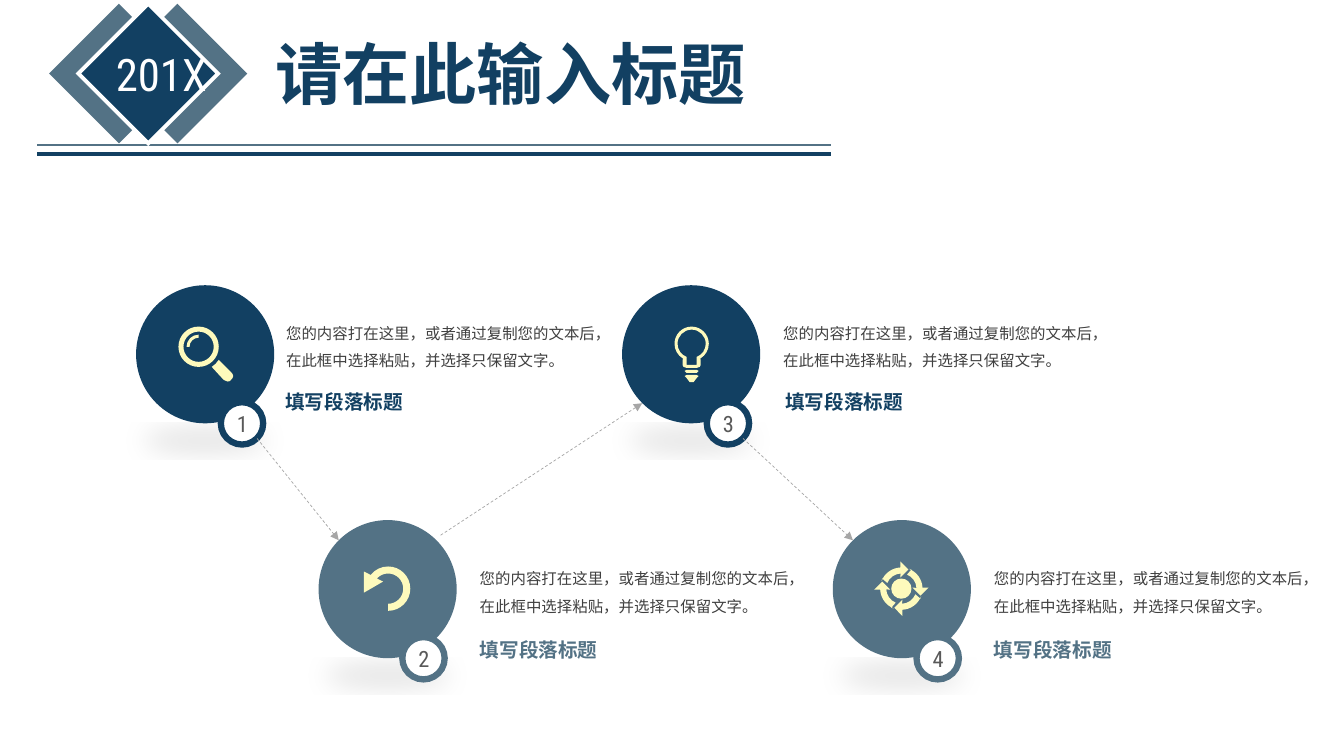
import math

import lxml.etree
import pptx
import pptx.dml.color
import pptx.enum.dml
import pptx.enum.shapes
import pptx.enum.text
import pptx.oxml
import pptx.oxml.ns
import pptx.util

Inches = pptx.util.Inches
Pt = pptx.util.Pt
SHAPE = pptx.enum.shapes.MSO_SHAPE
FIT = pptx.enum.text.MSO_AUTO_SIZE
qn = pptx.oxml.ns.qn

NAVY, SLATE, CREAM, WHITE = "124062", "537285", "FEFABC", "FFFFFF"
CONDENSED = "Roboto Condensed"
HEADING = "填写段落标题"
BODY = "您的内容打在这里，或者通过复制您的文本后，在此框中选择粘贴，并选择只保留文字。"


def color(hex_string):
    return pptx.dml.color.RGBColor.from_string(hex_string)


def add_run(paragraph, text, size, hex_color, font=CONDENSED, bold=False):
    run = paragraph.add_run()
    run.text = text
    run.font.name = font
    run.font.size = Pt(size)
    run.font.bold = bold
    run.font.color.rgb = color(hex_color)


def paint(shape, fill, line=None, width=0):
    shape.shadow.inherit = False
    shape.fill.solid()
    shape.fill.fore_color.rgb = color(fill)
    if line:
        shape.line.color.rgb = color(line)
        shape.line.width = Pt(width)
        lxml.etree.SubElement(shape.line._get_or_add_ln(), qn("a:miter"), lim="800000")
    else:
        shape.line.fill.background()


def add_preset(slide, kind, left, top, width, height, fill, line=None, line_width=0):
    shape = slide.shapes.add_shape(
        kind, Inches(left), Inches(top), Inches(width), Inches(height))
    paint(shape, fill, line, line_width)
    return shape


def add_text(slide, left, top, width, height, text, size, hex_color,
             bold=False, wrap=False, spacing=None):
    box = slide.shapes.add_textbox(
        Inches(left), Inches(top), Inches(width), Inches(height))
    box.text_frame.word_wrap = wrap
    box.text_frame.auto_size = FIT.SHAPE_TO_FIT_TEXT
    paragraph = box.text_frame.paragraphs[0]
    paragraph.line_spacing = spacing
    add_run(paragraph, text, size, hex_color, bold=bold)


def add_line(slide, start, end, hex_color, width, arrow=False):
    line = slide.shapes.add_connector(
        pptx.enum.shapes.MSO_CONNECTOR.STRAIGHT,
        Inches(start[0]), Inches(start[1]), Inches(end[0]), Inches(end[1]))
    line.line.color.rgb = color(hex_color)
    line.line.width = Pt(width)
    if arrow:
        line.line.dash_style = pptx.enum.dml.MSO_LINE.DASH
        lxml.etree.SubElement(line.line._get_or_add_ln(), qn("a:tailEnd"), type="triangle")
    lxml.etree.SubElement(line._element.spPr, qn("a:effectLst"))


def add_floor_shadow(shape):
    effects = shape._element.spPr.find(qn("a:effectLst"))
    shadow = lxml.etree.SubElement(
        effects, qn("a:outerShdw"), blurRad=str(Pt(19)), dist=str(Pt(3)),
        dir="5400000", sx="90000", sy="-19000", algn="b", rotWithShape="0")
    black = lxml.etree.SubElement(shadow, qn("a:srgbClr"), val="000000")
    lxml.etree.SubElement(black, qn("a:alpha"), val="10000")


# Outlines: a contour is a list of segments, each of one point (line) or three (curve)
def arc(center, radius, start, end):
    """A line to the arc's start, then a curve per quadrant; degrees run clockwise."""
    low, high = sorted((start, end))
    inner = [a for a in range(-360, 721, 90) if low < a < high]
    stops = [low, *inner, high] if start < end else [high, *inner[::-1], low]

    def point(angle, tangent=0):
        a = math.radians(angle)
        return (center[0] + radius * (math.cos(a) - tangent * math.sin(a)),
                center[1] + radius * (math.sin(a) + tangent * math.cos(a)))

    segments = [[point(start)]]
    for a, b in zip(stops, stops[1:]):
        pull = 4 / 3 * math.tan(math.radians(b - a) / 4)
        segments.append([point(a, pull), point(b, -pull), point(b)])
    return segments


def lines(*points):
    return [[point] for point in points]


def add_outline(slide, *contours):
    builder = None
    for contour in contours:
        points = [(Inches(x), Inches(y)) for segment in contour for x, y in segment]
        if builder is None:
            builder = slide.shapes.build_freeform(*points[0], scale=1.0)
        else:
            builder.move_to(*points[0])
        builder.add_line_segments(points[1:], close=True)
    shape = builder.convert_to_shape()
    paint(shape, CREAM)
    # Join the three points of each curve into one Bezier segment
    steps = iter(list(shape._element.iter(qn("a:lnTo"))))
    for contour in contours:
        for segment in contour[1:]:
            parts = [next(steps) for _ in segment]
            if len(parts) == 3:
                parts[0].tag = qn("a:cubicBezTo")
                for part in parts[1:]:
                    parts[0].append(part[0])
                    part.getparent().remove(part)


# Icons
def add_bulb(slide):
    center = (6.86, 3.41)
    add_outline(
        slide,
        arc(center, 0.17, 121, 419)
        + lines((6.95, 3.62), (6.94, 3.64), (6.91, 3.65),
                (6.81, 3.65), (6.78, 3.64), (6.77, 3.62)),
        arc(center, 0.14, 111, 429) + lines((6.91, 3.62), (6.81, 3.62)),
        lines((6.81, 3.67), (6.91, 3.67), (6.93, 3.68), (6.91, 3.7), (6.81, 3.7), (6.79, 3.68)),
        lines((6.81, 3.72), (6.91, 3.72), (6.93, 3.73), (6.91, 3.75),
              (6.88, 3.79), (6.84, 3.79), (6.81, 3.75), (6.79, 3.73)))


def add_magnifier(slide):
    center = (1.97, 3.44)
    add_outline(slide, lines((2.29, 3.69), (2.17, 3.57))
                + [[(2.15, 3.6), (2.13, 3.62), (2.1, 3.64)]] + lines((2.22, 3.77))
                + [[(2.24, 3.79), (2.28, 3.79), (2.29, 3.77)],
                   [(2.32, 3.74), (2.32, 3.72), (2.29, 3.69)]])
    add_outline(slide, arc(center, 0.2, 0, 360), arc(center, 0.15, 0, 360))
    add_outline(slide, arc(center, 0.12, 180, 270) + arc(center, 0.09, 270, 180))


def add_undo_arrow(slide):
    center = (3.85, 5.84)
    add_outline(slide, arc(center, 0.22, -142, 90) + arc(center, 0.15, 90, -138)
                + lines((3.8, 5.77), (3.61, 5.88), (3.61, 5.67)))


def add_cycle(slide):
    center = (8.94, 5.84)
    blade = (lines((0.1, -0.19)) + arc((0, 0), 0.21, -69, -3)
             + lines((0.27, -0.01), (0.19, 0.07), (0.11, -0.01))
             + arc((0, 0), 0.15, -3, -68))
    contours = []
    for _ in range(4):
        contours.append([[(center[0] + x, center[1] + y) for x, y in segment]
                         for segment in blade])
        blade = [[(-y, x) for x, y in segment] for segment in blade]
    add_outline(slide, *contours, arc(center, 0.1, 0, 360))


def add_step(slide, number, left, top, hex_color, badge_left, heading_at, body_at):
    disc = add_preset(slide, SHAPE.OVAL, left, top, 1.37, 1.37, hex_color)
    add_floor_shadow(disc)
    badge = add_preset(slide, SHAPE.OVAL, badge_left, top + 1.16, 0.42, 0.42,
                       WHITE, hex_color, 4.5)
    frame = badge.text_frame
    frame.vertical_anchor = pptx.enum.text.MSO_ANCHOR.MIDDLE
    frame.paragraphs[0].alignment = pptx.enum.text.PP_ALIGN.CENTER
    add_run(frame.paragraphs[0], str(number), 16, "595959")
    add_text(slide, *heading_at, 1.38, 0.34, HEADING, 14, hex_color, bold=True)
    add_text(slide, *body_at, 3.47, 0.66, BODY, 11, "404040", wrap=True, spacing=1.5)


def add_header(slide):
    add_line(slide, (8.24, 1.44), (0.37, 1.44), SLATE, 1)
    for left, fill, line in ((1.27, SLATE, None), (0.69, SLATE, None), (0.98, NAVY, WHITE)):
        diamond = add_preset(slide, SHAPE.ROUNDED_RECTANGLE, left, 0.24, 0.98, 0.98,
                             fill, line, 2.75)
        diamond.adjustments[0] = 0
        diamond.rotation = 45
    add_text(slide, 1.05, 0.41, 1.16, 0.64, "201X", 32, WHITE)
    add_line(slide, (8.24, 1.53), (0.37, 1.53), NAVY, 3)

    title = slide.shapes.title
    title.left, title.top = Inches(2.63), Inches(0.27)
    title.width, title.height = Inches(4.94), Inches(0.91)
    frame = title.text_frame
    frame.word_wrap = False
    frame.auto_size = FIT.SHAPE_TO_FIT_TEXT
    frame.vertical_anchor = pptx.enum.text.MSO_ANCHOR.TOP
    frame.paragraphs[0].alignment = pptx.enum.text.PP_ALIGN.LEFT
    add_run(frame.paragraphs[0], "请在此输入标题", 48, NAVY, "Montserrat", True)


def main():
    presentation = pptx.Presentation()
    presentation.slide_width, presentation.slide_height = Inches(13.33), Inches(7.5)
    slide = presentation.slides.add_slide(presentation.slide_layouts[5])
    add_header(slide)

    # Steps: disc position, colour, badge left, heading position, body position
    for number, step in enumerate((
            (1.35, 2.83, NAVY, 2.19, (2.73, 3.82), (2.74, 3.07)),
            (3.16, 5.16, SLATE, 3.99, (4.66, 6.28), (4.66, 5.51)),
            (6.17, 2.83, NAVY, 7.01, (7.69, 3.82), (7.67, 3.07)),
            (8.26, 5.16, SLATE, 9.09, (9.76, 6.28), (9.76, 5.51))), 1):
        add_step(slide, number, *step)

    # Arrows between steps
    for start, end in (((2.55, 4.35), (3.36, 5.36)), ((4.37, 5.31), (6.37, 4)),
                       ((7.37, 4.35), (8.46, 5.36))):
        add_line(slide, start, end, "A6A6A6", 0.5, arrow=True)

    for add_icon in (add_cycle, add_bulb, add_magnifier, add_undo_arrow):
        add_icon(slide)
    presentation.save("out.pptx")


if __name__ == "__main__":
    main()
